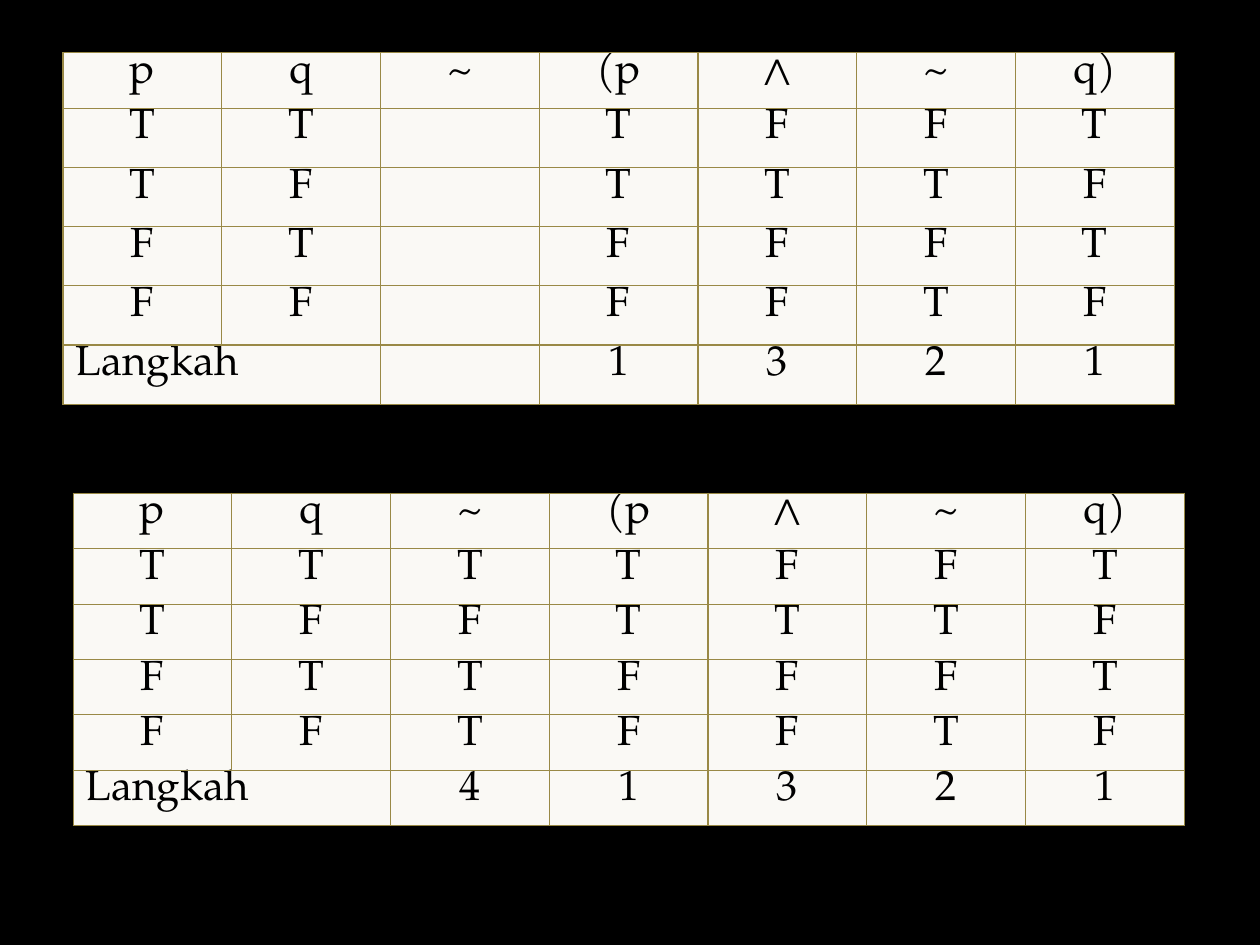
from lxml.etree import SubElement
from pptx import Presentation
from pptx.dml.color import RGBColor
from pptx.enum.text import PP_ALIGN
from pptx.oxml.ns import qn
from pptx.util import Inches, Pt

BLACK = RGBColor(0x00, 0x00, 0x00)
IVORY = RGBColor(0xFA, 0xF9, 0xF5)
OCHRE = RGBColor(0x99, 0x89, 0x46)

STEP_LABEL = "Langkah"
FORMULA = ["p", "q", "~", "(p", "∧", "~", "q)"]
VALUES = ["TT TFFT", "TF TTTF", "FT FFFT", "FF FFTF"]
STEPS = " 1321"
NEGATION = "TFTT"
NEGATION_STEP = "4"


class TruthTableSlide:
    font = "TeX Gyre Pagella"
    size = Pt(24)
    line_spacing = 0.72
    column_width = Inches(1.26)
    border_width = Pt(0.75)

    def __init__(self, presentation):
        blank = presentation.slide_layouts[6]
        self.slide = presentation.slides.add_slide(blank)
        self.width = presentation.slide_width
        self.height = presentation.slide_height
        background = self.slide.background.fill
        background.solid()
        background.fore_color.rgb = BLACK

    def truth_table(self, left, top, rows, row_heights):
        """Place a table at shares of the slide, with row heights in inches."""
        heights = [Inches(height) for height in row_heights]
        columns = len(rows[0])
        table = self.slide.shapes.add_table(
            len(rows), columns, int(left * self.width), int(top * self.height),
            columns * self.column_width, sum(heights)).table
        table.first_row = table.horz_banding = False
        for column in table.columns:
            column.width = self.column_width
        for row, height in zip(table.rows, heights):
            row.height = height
        table.cell(len(rows) - 1, 0).merge(table.cell(len(rows) - 1, 1))
        for r, row in enumerate(rows):
            for c, text in enumerate(row):
                self.cell(table.cell(r, c), text.strip())

    def cell(self, cell, text):
        self.borders(cell)
        cell.fill.solid()
        cell.fill.fore_color.rgb = IVORY
        if not text:
            return
        paragraph = cell.text_frame.paragraphs[0]
        paragraph.alignment = PP_ALIGN.LEFT if text == STEP_LABEL else PP_ALIGN.CENTER
        paragraph.line_spacing = self.line_spacing
        run = paragraph.add_run()
        run.text = text
        run.font.name = self.font
        run.font.size = self.size
        run.font.color.rgb = BLACK

    def borders(self, cell):
        properties = cell._tc.get_or_add_tcPr()
        for side in ("a:lnL", "a:lnR", "a:lnT", "a:lnB"):
            line = SubElement(properties, qn(side), w=str(int(self.border_width)))
            fill = SubElement(line, qn("a:solidFill"))
            SubElement(fill, qn("a:srgbClr"), val=str(OCHRE))


def table_rows(negation, negation_step):
    """Fill the outer negation column, which is the third one."""
    values = [[*row[:2], result, *row[3:]] for row, result in zip(VALUES, negation)]
    return [FORMULA, *values, [STEP_LABEL, "", negation_step, *STEPS.strip()]]


def main():
    presentation = Presentation()
    presentation.slide_width = Inches(10)
    presentation.slide_height = Inches(7.5)
    slide = TruthTableSlide(presentation)
    slide.truth_table(0.05, 0.056, table_rows(" " * 4, ""), [0.44] + [0.47] * 5)
    slide.truth_table(0.058, 0.522, table_rows(NEGATION, NEGATION_STEP), [0.44] * 6)
    presentation.save("out.pptx")


if __name__ == "__main__":
    main()
